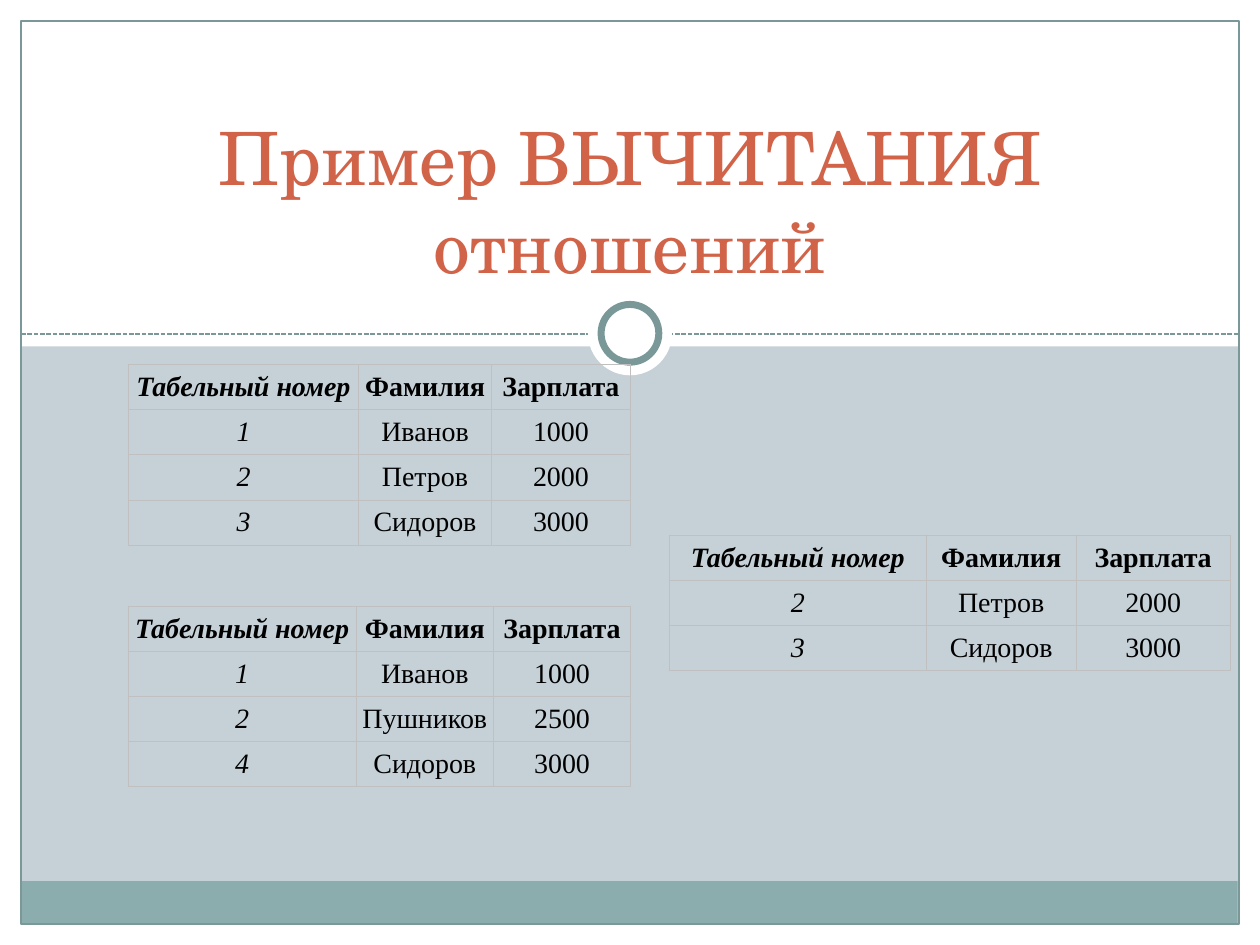
from dataclasses import dataclass
from typing import Optional

import pptx
import pptx.dml.color
import pptx.enum.dml
import pptx.enum.shapes
import pptx.enum.text
import pptx.oxml
import pptx.oxml.ns
import pptx.util
from lxml import etree

Pt = pptx.util.Pt
SHAPE = pptx.enum.shapes.MSO_SHAPE
CENTER = pptx.enum.text.PP_ALIGN.CENTER
MIDDLE = pptx.enum.text.MSO_ANCHOR.MIDDLE

WIDTH, HEIGHT, MARGIN = 720, 540, 12
ROW_HEIGHT = 24
WHITE, TEAL, GRID = "FFFFFF", "7B9899", "C0C0C0"
HEADER = ("Табельный номер", "Фамилия", "Зарплата")


@dataclass
class Block:
    left: float
    top: float
    width: float
    height: float
    fill: Optional[str] = None
    line: Optional[str] = None
    line_width: float = 0.75
    kind: int = SHAPE.RECTANGLE


@dataclass
class Relation:
    left: float
    top: float
    widths: tuple
    rows: tuple


BLOCKS = (
    Block(0, HEIGHT - MARGIN, WIDTH, MARGIN, WHITE),
    Block(WIDTH - MARGIN, 0, MARGIN, HEIGHT, WHITE),
    Block(0, 0, MARGIN, HEIGHT, WHITE),
    Block(0, 0, WIDTH, 198, WHITE),
    Block(11.7, 503.5, 695.5, 24.5, "8CADAE"),
)
FRAME = Block(MARGIN, MARGIN, WIDTH - 2 * MARGIN, HEIGHT - 2 * MARGIN, line=TEAL)
RING = (
    Block(336, 166.5, 48, 48, WHITE, kind=SHAPE.OVAL),
    Block(343.5, 174, 33, 33, WHITE, TEAL, 4, SHAPE.OVAL),
)
RELATIONS = (
    Relation(73.4, 208.3, (131.5, 76, 79.3),
             (("1", "Иванов", "1000"), ("2", "Петров", "2000"), ("3", "Сидоров", "3000"))),
    Relation(73.4, 346.4, (130, 78.8, 78),
             (("1", "Иванов", "1000"), ("2", "Пушников", "2500"), ("4", "Сидоров", "3000"))),
    Relation(382.4, 305.8, (147, 85.5, 88.2),
             (("2", "Петров", "2000"), ("3", "Сидоров", "3000"))),
)


def rgb(value: str) -> pptx.dml.color.RGBColor:
    return pptx.dml.color.RGBColor.from_string(value)


def paint(fill, color: Optional[str]) -> None:
    if color:
        fill.solid()
        fill.fore_color.rgb = rgb(color)
    else:
        fill.background()


def draw_block(s, b: Block) -> None:
    sp = s.shapes.add_shape(b.kind, Pt(b.left), Pt(b.top), Pt(b.width), Pt(b.height))
    sp.shadow.inherit = False
    paint(sp.fill, b.fill)
    paint(sp.line.fill, b.line)
    if b.line:
        sp.line.width = Pt(b.line_width)


def draw_divider(s, y: float) -> None:
    cx = s.shapes.add_connector(pptx.enum.shapes.MSO_CONNECTOR.STRAIGHT,
                                Pt(MARGIN), Pt(y), Pt(WIDTH - MARGIN), Pt(y))
    cx.line.color.rgb = rgb(TEAL)
    cx.line.width = Pt(0.9)
    cx.line.dash_style = pptx.enum.dml.MSO_LINE.SQUARE_DOT
    etree.SubElement(cx._element.spPr, pptx.oxml.ns.qn("a:effectLst"))


def draw_title(s, text: str) -> None:
    tf = s.shapes.add_textbox(Pt(54), Pt(30), Pt(612), Pt(138.5)).text_frame
    tf.word_wrap = True
    tf.vertical_anchor = pptx.enum.text.MSO_ANCHOR.BOTTOM
    p = tf.paragraphs[0]
    p.text = text
    p.alignment = CENTER
    p.font.name, p.font.size = "TeX Gyre Schola", Pt(42)
    p.font.color.rgb = rgb("D16349")


def add_borders(cell) -> None:
    """Outline all four sides; border elements must precede the cell fill."""
    tc_pr = cell._tc.get_or_add_tcPr()
    for i, side in enumerate("LRTB"):
        tc_pr.insert(i, pptx.oxml.parse_xml(
            f'<a:ln{side} {pptx.oxml.ns.nsdecls("a")} w="{Pt(0.45)}">'
            f'<a:solidFill><a:srgbClr val="{GRID}"/></a:solidFill></a:ln{side}>'))


def draw_relation(s, rel: Relation) -> None:
    rows = (HEADER, *rel.rows)
    table = s.shapes.add_table(len(rows), len(HEADER), Pt(rel.left), Pt(rel.top),
                               Pt(sum(rel.widths)), Pt(ROW_HEIGHT * len(rows))).table
    table.horz_banding = False
    for column, width in zip(table.columns, rel.widths):
        column.width = Pt(width)
    for i, row in enumerate(rows):
        for j, text in enumerate(row):
            cell = table.cell(i, j)
            cell.fill.background()
            add_borders(cell)
            cell.margin_left = cell.margin_right = Pt(2.2)
            cell.margin_top = cell.margin_bottom = Pt(3.3)
            cell.vertical_anchor = MIDDLE
            p = cell.text_frame.paragraphs[0]
            p.text = text
            p.alignment = CENTER
            p.font.name, p.font.size = "Times New Roman", Pt(16)
            p.font.bold, p.font.italic = i == 0, j == 0
            p.font.color.rgb = rgb("000000")


def main() -> None:
    prs = pptx.Presentation()
    prs.slide_width, prs.slide_height = Pt(WIDTH), Pt(HEIGHT)
    s = prs.slides.add_slide(prs.slide_layouts[6])
    paint(s.background.fill, "C5D1D7")
    for block in BLOCKS:
        draw_block(s, block)
    draw_divider(s, 190.8)
    for block in (FRAME, *RING):
        draw_block(s, block)
    draw_title(s, "Пример ВЫЧИТАНИЯ отношений")
    for relation in RELATIONS:
        draw_relation(s, relation)
    prs.save("out.pptx")


if __name__ == "__main__":
    main()
